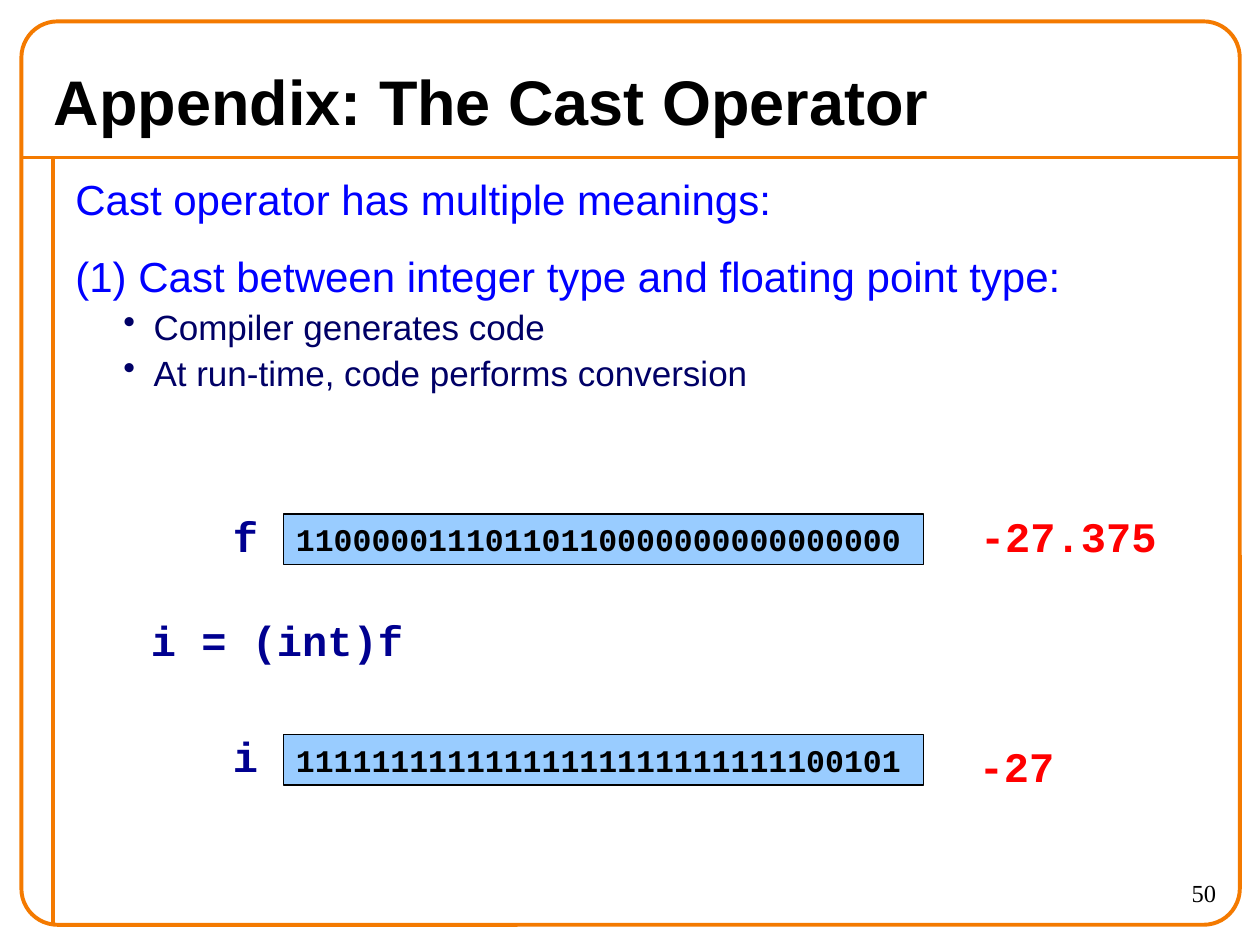
from dataclasses import dataclass

from lxml import etree
from pptx import Presentation
from pptx.dml.color import RGBColor
from pptx.enum.shapes import MSO_CONNECTOR, MSO_SHAPE
from pptx.enum.text import MSO_ANCHOR, PP_ALIGN
from pptx.oxml.ns import qn
from pptx.util import Inches, Pt

STRAIGHT = MSO_CONNECTOR.STRAIGHT
RECTANGLE = MSO_SHAPE.RECTANGLE
ROUNDED = MSO_SHAPE.ROUNDED_RECTANGLE
TOP, MIDDLE = MSO_ANCHOR.TOP, MSO_ANCHOR.MIDDLE
LEFT, RIGHT = PP_ALIGN.LEFT, PP_ALIGN.RIGHT


@dataclass(frozen=True)
class Style:
    font: str
    size: float
    color: str
    bold: bool = False


@dataclass(frozen=True)
class Theme:
    frame: str = "F47A00"
    frame_width: float = 2.25
    bits_fill: str = "99CCFF"
    bits_line: str = "000000"
    title: Style = Style("Arial", 36, "000000", True)
    heading: Style = Style("Arial", 24, "0000FF")
    bullet: Style = Style("Arial", 20, "000066")
    code: Style = Style("Courier New", 24, "000090", True)
    value: Style = Style("Courier New", 24, "FF0000", True)
    bits: Style = Style("Courier New", 18, "000000", True)
    number: Style = Style("Times New Roman", 14, "000000")


@dataclass(frozen=True)
class Box:
    left: float
    top: float
    width: float
    height: float

    def lengths(self):
        return [Inches(v) for v in (self.left, self.top, self.width, self.height)]


@dataclass(frozen=True)
class Label:
    text: str
    box: Box
    style: Style
    wrap: bool = False
    anchor: MSO_ANCHOR = TOP
    align: PP_ALIGN = LEFT


@dataclass(frozen=True)
class BodyLine:
    text: str
    style: Style
    margin: float
    space_before: float
    bulleted: bool = False


THEME = Theme()
HANGING = 0.24

FRAME_LINES = [((0.17, 1.25), (9.83, 1.25)), ((0.42, 1.25), (0.42, 7.33))]

BODY_LINES = [
    BodyLine("Cast operator has multiple meanings:", THEME.heading, 0.24, 0),
    BodyLine("(1) Cast between integer type and floating point type:",
             THEME.heading, 0.24, 15),
    BodyLine("Compiler generates code", THEME.bullet, 0.62, 2.5, True),
    BodyLine("At run-time, code performs conversion", THEME.bullet, 0.62, 2.5, True),
]

BIT_PATTERNS = [
    ("11000001110110110000000000000000", 4.08),
    ("11111111111111111111111111100101", 5.83),
]

LABELS = [
    Label("50", Box(8.75, 6.92, 1, 0.42), THEME.number, wrap=True, align=RIGHT),
    Label("Appendix: The Cast Operator", Box(0.33, 0.42, 9.33, 0.75),
          THEME.title, wrap=True, anchor=MIDDLE),
    Label("f", Box(1.75, 4, 0.4, 0.5), THEME.code),
    Label("i", Box(1.75, 5.75, 0.4, 0.5), THEME.code),
    Label("i = (int)f", Box(1.1, 4.83, 2.2, 0.5), THEME.code),
    Label("-27.375", Box(7.68, 4, 1.6, 0.5), THEME.value),
    Label("-27", Box(7.67, 5.83, 0.8, 0.5), THEME.value),
]


def apply_style(paragraph, style: Style) -> None:
    for run in paragraph.runs:
        run.font.name = style.font
        run.font.size = Pt(style.size)
        run.font.bold = style.bold
        run.font.color.rgb = RGBColor.from_string(style.color)


def set_line(line, color: str, width: float) -> None:
    line.color.rgb = RGBColor.from_string(color)
    line.width = Pt(width)


def draw_frame(slide) -> None:
    for start, end in FRAME_LINES:
        rule = slide.shapes.add_connector(
            STRAIGHT, *[Inches(v) for v in start + end])
        set_line(rule.line, THEME.frame, THEME.frame_width)
        properties = rule._element.find(qn("p:spPr"))
        etree.SubElement(properties, qn("a:effectLst"))
    border = slide.shapes.add_shape(ROUNDED, *Box(0.17, 0.17, 9.67, 7.17).lengths())
    border.adjustments[0] = 0.04
    border.shadow.inherit = False
    border.fill.background()
    set_line(border.line, THEME.frame, THEME.frame_width)


def draw_label(slide, label: Label) -> None:
    holder = slide.shapes.add_textbox(*label.box.lengths())
    frame = holder.text_frame
    frame.text = label.text
    frame.word_wrap = label.wrap
    frame.vertical_anchor = label.anchor
    frame.paragraphs[0].alignment = label.align
    apply_style(frame.paragraphs[0], label.style)


def draw_bits(slide, bits: str, top: float) -> None:
    word = slide.shapes.add_shape(RECTANGLE, *Box(2.25, top, 5.08, 0.4).lengths())
    word.shadow.inherit = False
    word.fill.solid()
    word.fill.fore_color.rgb = RGBColor.from_string(THEME.bits_fill)
    set_line(word.line, THEME.bits_line, 1)
    frame = word.text_frame
    frame.text = bits
    frame.word_wrap = True
    frame.vertical_anchor = MIDDLE
    frame.paragraphs[0].alignment = LEFT
    apply_style(frame.paragraphs[0], THEME.bits)


def add_bullet(properties, color: str) -> None:
    bullet_color = etree.SubElement(properties, qn("a:buClr"))
    etree.SubElement(bullet_color, qn("a:srgbClr"), val=color)
    etree.SubElement(properties, qn("a:buChar"), char="•")


def draw_body(slide) -> None:
    body = slide.shapes.add_textbox(*Box(0.5, 1.33, 9.25, 6).lengths())
    frame = body.text_frame
    frame.word_wrap = True
    frame.text = "\n".join(line.text for line in BODY_LINES)
    for paragraph, line in zip(frame.paragraphs, BODY_LINES):
        paragraph.space_before = Pt(line.space_before)
        properties = paragraph._p.get_or_add_pPr()
        properties.set("marL", str(Inches(line.margin)))
        properties.set("indent", str(-Inches(HANGING)))
        if line.bulleted:
            paragraph.level = 1
            add_bullet(properties, line.style.color)
        apply_style(paragraph, line.style)


def main() -> None:
    presentation = Presentation()
    presentation.slide_width = Inches(10)
    presentation.slide_height = Inches(7.5)
    slide = presentation.slides.add_slide(presentation.slide_layouts[6])
    draw_frame(slide)
    for bits, top in BIT_PATTERNS:
        draw_bits(slide, bits, top)
    draw_body(slide)
    for label in LABELS:
        draw_label(slide, label)
    presentation.save("out.pptx")


if __name__ == "__main__":
    main()
